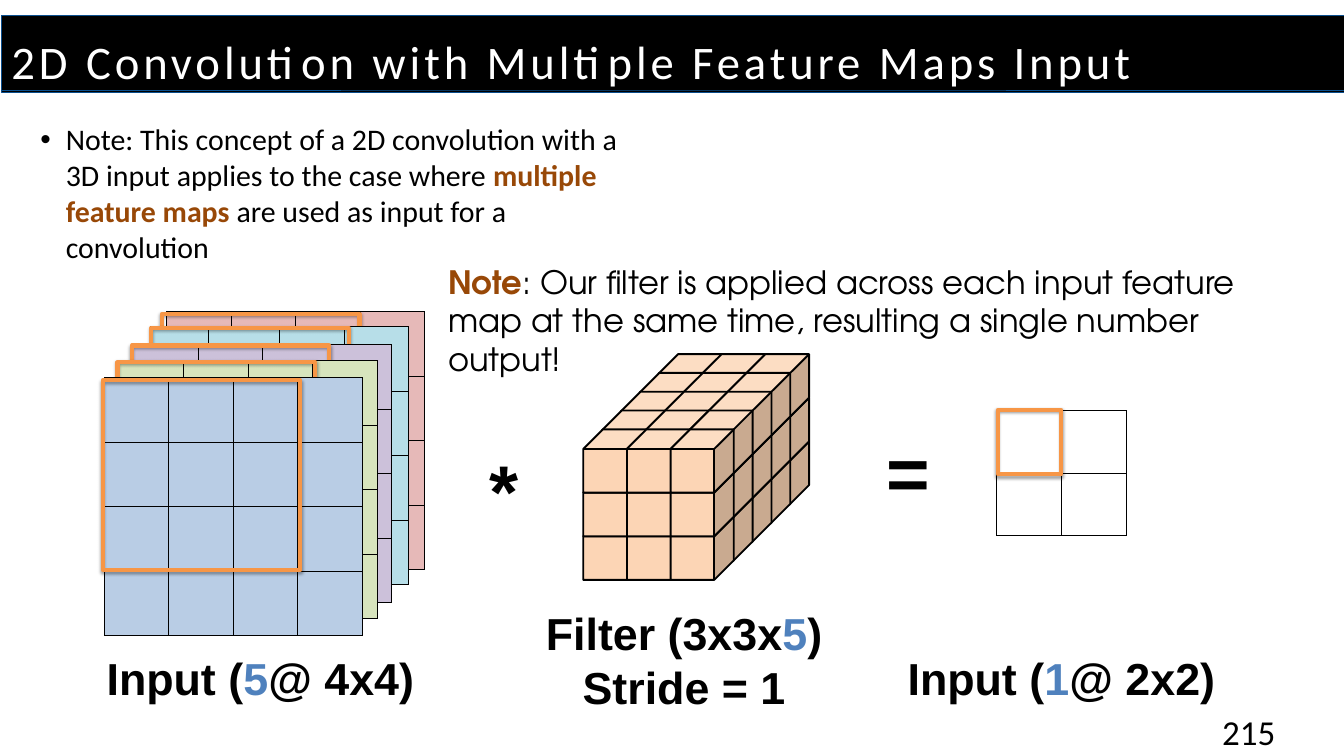
"""Build a slide on 2D convolution with several input feature maps."""
from lxml import etree
from pptx import Presentation
from pptx.dml.color import RGBColor
from pptx.enum.shapes import MSO_SHAPE
from pptx.enum.text import MSO_ANCHOR, MSO_AUTO_SIZE, PP_ALIGN
from pptx.oxml import parse_xml
from pptx.oxml.ns import nsdecls, qn
from pptx.util import Inches, Pt

RECTANGLE, CUBE = MSO_SHAPE.RECTANGLE, MSO_SHAPE.CUBE
LEFT, CENTER = PP_ALIGN.LEFT, PP_ALIGN.CENTER
TOP, MIDDLE = MSO_ANCHOR.TOP, MSO_ANCHOR.MIDDLE
NO_FIT, GROW = MSO_AUTO_SIZE.NONE, MSO_AUTO_SIZE.SHAPE_TO_FIT_TEXT

BLACK = RGBColor(0x00, 0x00, 0x00)
WHITE = RGBColor(0xFF, 0xFF, 0xFF)
BROWN = RGBColor(0x98, 0x48, 0x07)
BLUE = RGBColor(0x4F, 0x81, 0xBD)
NAVY = RGBColor(0x0B, 0x4F, 0x8E)
ORANGE = RGBColor(0xF7, 0x96, 0x46)
PEACH = RGBColor(0xFC, 0xD5, 0xB5)
PINK_MAP = RGBColor(0xE6, 0xB9, 0xB8)
CYAN_MAP = RGBColor(0xB7, 0xDE, 0xE8)
PURPLE_MAP = RGBColor(0xCC, 0xC1, 0xDA)
GREEN_MAP = RGBColor(0xD7, 0xE4, 0xBD)
BLUE_MAP = RGBColor(0xB9, 0xCD, 0xE5)

WINDOW_SHADOW = (
    f'<a:effectLst {nsdecls("a")}><a:outerShdw blurRad="39370" dist="22860" dir="5400000" rotWithShape="0">'
    '<a:srgbClr val="000000"><a:alpha val="35000"/></a:srgbClr></a:outerShdw></a:effectLst>'
)


def write_runs(paragraph, font_name, size, runs):
    for text, color, bold in runs:
        run = paragraph.add_run()
        run.text = text
        run.font.name = font_name
        run.font.size = Pt(size)
        run.font.bold = bold
        run.font.color.rgb = color


def add_box(shapes, kind, place, fill, line_color, line_width):
    shape = shapes.add_shape(kind, *[Inches(length) for length in place])
    shape.shadow.inherit = False
    if fill is None:
        shape.fill.background()
    else:
        shape.fill.solid()
        shape.fill.fore_color.rgb = fill
    if line_color is None:
        shape.line.fill.background()
    else:
        shape.line.color.rgb = line_color
        shape.line.width = Pt(line_width)
    return shape


presentation = Presentation()
presentation.slide_width = Inches(20)
presentation.slide_height = Inches(11.25)
slide = presentation.slides.add_slide(presentation.slide_layouts[1])
shapes = slide.shapes

title, body = slide.placeholders
body.left, body.top, body.width, body.height = Inches(0.5), Inches(1.75), Inches(9), Inches(4.95)
body.text_frame.auto_size = NO_FIT
paragraph = body.text_frame.paragraphs[0]
paragraph.space_before = Pt(0)
properties = paragraph._p.get_or_add_pPr()
properties.set("marL", str(Inches(0.38)))
properties.set("indent", str(Inches(-0.38)))
write_runs(paragraph, "Calibri", 32, [
    ("Note: This concept of a 2D convolution with a 3D input applies to the case where ", BLACK, False),
    ("multiple feature maps ", BROWN, True),
    ("are used as input for a convolution", BLACK, False),
])

input_columns = [0.96] * 4
input_window = (2.94, 2.82)
grids = [
    (2.48, 4.64, input_columns, 0.96, PINK_MAP, (2.41, 4.67, *input_window)),
    (2.24, 4.86, [0.86, 1.06, 0.96, 0.96], 0.96, CYAN_MAP, (2.25, 4.88, *input_window)),
    (1.99, 5.13, input_columns, 0.96, PURPLE_MAP, (1.96, 5.14, *input_window)),
    (1.77, 5.37, input_columns, 0.96, GREEN_MAP, (1.75, 5.39, *input_window)),
    (1.55, 5.62, input_columns, 0.96, BLUE_MAP, (1.53, 5.66, *input_window)),
    (14.83, 6.11, [0.97] * 2, 0.93, WHITE, (14.85, 6.1, 0.94, 0.96)),
]
for left, top, columns, row_height, color, window_place in grids:
    count = len(columns)
    table = shapes.add_table(
        count, count, Inches(left), Inches(top), Inches(sum(columns)), Inches(row_height * count)
    ).table
    table.first_row = table.horz_banding = False
    for column, width in zip(table.columns, columns):
        column.width = Inches(width)
    for row in table.rows:
        row.height = Inches(row_height)
    for cell in table.iter_cells():
        cell_properties = cell._tc.get_or_add_tcPr()
        for side in ("a:lnL", "a:lnR", "a:lnT", "a:lnB"):
            border = etree.SubElement(cell_properties, qn(side), w=str(Pt(1)))
            border_fill = etree.SubElement(border, qn("a:solidFill"))
            etree.SubElement(border_fill, qn("a:srgbClr"), val=str(BLACK))
        cell.fill.solid()
        cell.fill.fore_color.rgb = color
    window = add_box(shapes, RECTANGLE, window_place, None, ORANGE, 4.5)
    window_properties = window._element.spPr
    window_properties.replace(window_properties.find(qn("a:effectLst")), parse_xml(WINDOW_SHADOW))

filter_group = shapes.add_group_shape()
for depth in reversed(range(5)):
    for row in reversed(range(3)):
        for column in range(3):
            place = (8.68 + 0.65 * column + 0.28 * depth, 6.39 + 0.65 * row - 0.28 * depth, 0.94, 0.94)
            cube = add_box(filter_group.shapes, CUBE, place, PEACH, BLACK, 2)
            cube.adjustments[0] = 0.31

labels = [
    (8, 8.97, 4.36, 1.72, 48, [
        [("Filter (3x3x", BLACK, True), ("5", BLUE, True), (")", BLACK, True)],
        [("Stride = 1", BLACK, True)],
    ]),
    (1.46, 9.63, 4.83, 0.91, 48, [[("Input (", BLACK, True), ("5", BLUE, True), ("@ 4x4)", BLACK, True)]]),
    (13.38, 9.63, 4.83, 0.91, 48, [[("Input (", BLACK, True), ("1", BLUE, True), ("@ 2x2)", BLACK, True)]]),
    (7.18, 6.56, 0.64, 1.45, 80, [[("*", BLACK, True)]]),
    (13.08, 6.29, 0.86, 1.45, 80, [[("=", BLACK, True)]]),
]
for left, top, width, height, size, lines in labels:
    label = shapes.add_textbox(Inches(left), Inches(top), Inches(width), Inches(height))
    frame = label.text_frame
    frame.word_wrap = False
    frame.auto_size = GROW
    for index, runs in enumerate(lines):
        paragraph = frame.add_paragraph() if index else frame.paragraphs[0]
        paragraph.alignment = CENTER
        write_runs(paragraph, "Arial", size, runs)

note = shapes.add_textbox(Inches(6.57), Inches(3.85), Inches(12.92), Inches(2.42))
note.text_frame.word_wrap = True
write_runs(note.text_frame.paragraphs[0], "TeX Gyre Adventor", 34.5, [
    ("Note", BROWN, True),
    (": Our filter is applied across each input feature map at the same time, "
     "resulting a single number output!", BLACK, False),
])

page_number = add_box(shapes, RECTANGLE, (17.42, 10.68, 2.33, 0.4), WHITE, None, 0)
frame = page_number.text_frame
frame.vertical_anchor = MIDDLE
frame.margin_left = frame.margin_right = Inches(0.15)
frame.margin_top = frame.margin_bottom = Inches(0.07)
frame.paragraphs[0].alignment = CENTER
write_runs(frame.paragraphs[0], "Calibri", 37.5, [("215", BLACK, False)])

for band_height in (1.14, 1.11):
    add_box(shapes, RECTANGLE, (0.02, 0.23, 20, band_height), BLACK, NAVY, 0.75)

title.left, title.top, title.width, title.height = Inches(0.17), Inches(0.29), Inches(18.25), Inches(0.93)
frame = title.text_frame
frame.auto_size = NO_FIT
frame.vertical_anchor = TOP
frame.margin_left = frame.margin_right = frame.margin_top = frame.margin_bottom = 0
paragraph = frame.paragraphs[0]
paragraph.alignment = LEFT
paragraph.line_spacing = Pt(74.8)
write_runs(paragraph, "Calibri", 50, [("2D Convolution with Multiple Feature Maps Input", WHITE, False)])
paragraph.runs[0].font._element.set("spc", "420")
title._element.getparent().append(title._element)

presentation.save("out.pptx")
